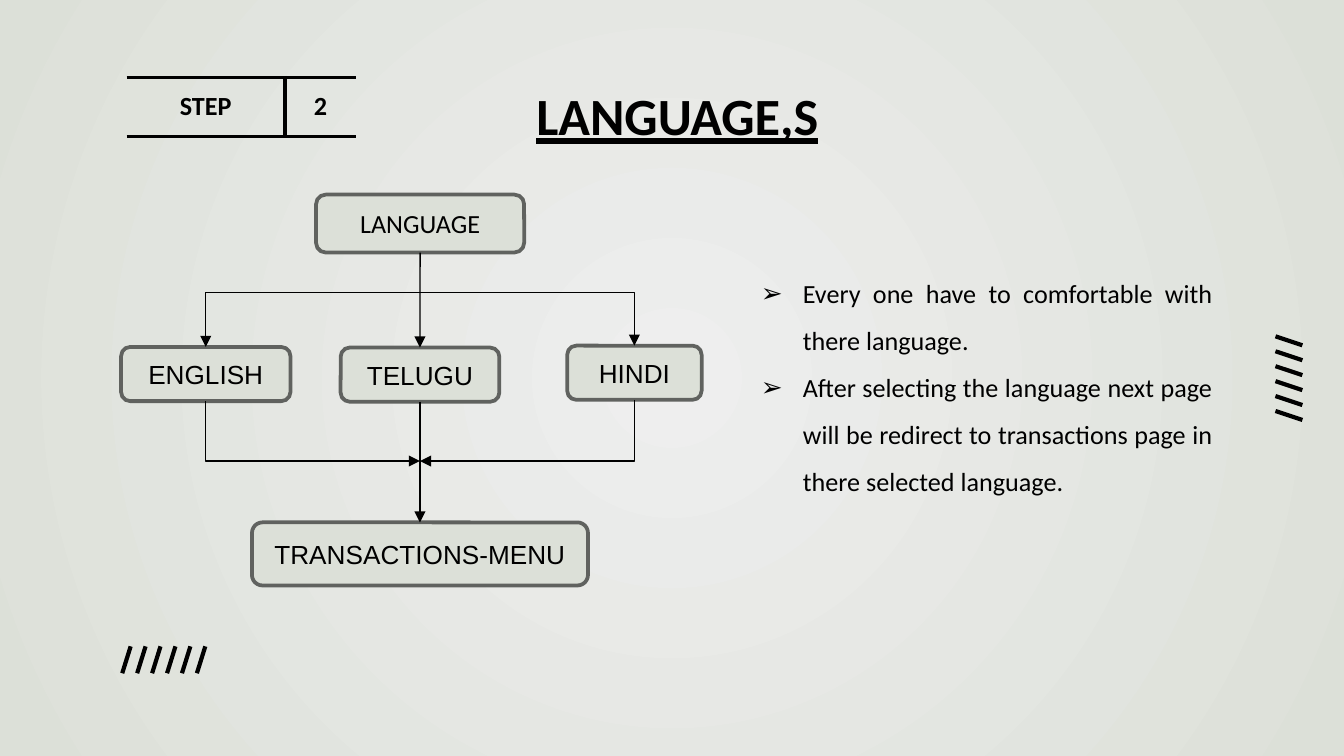
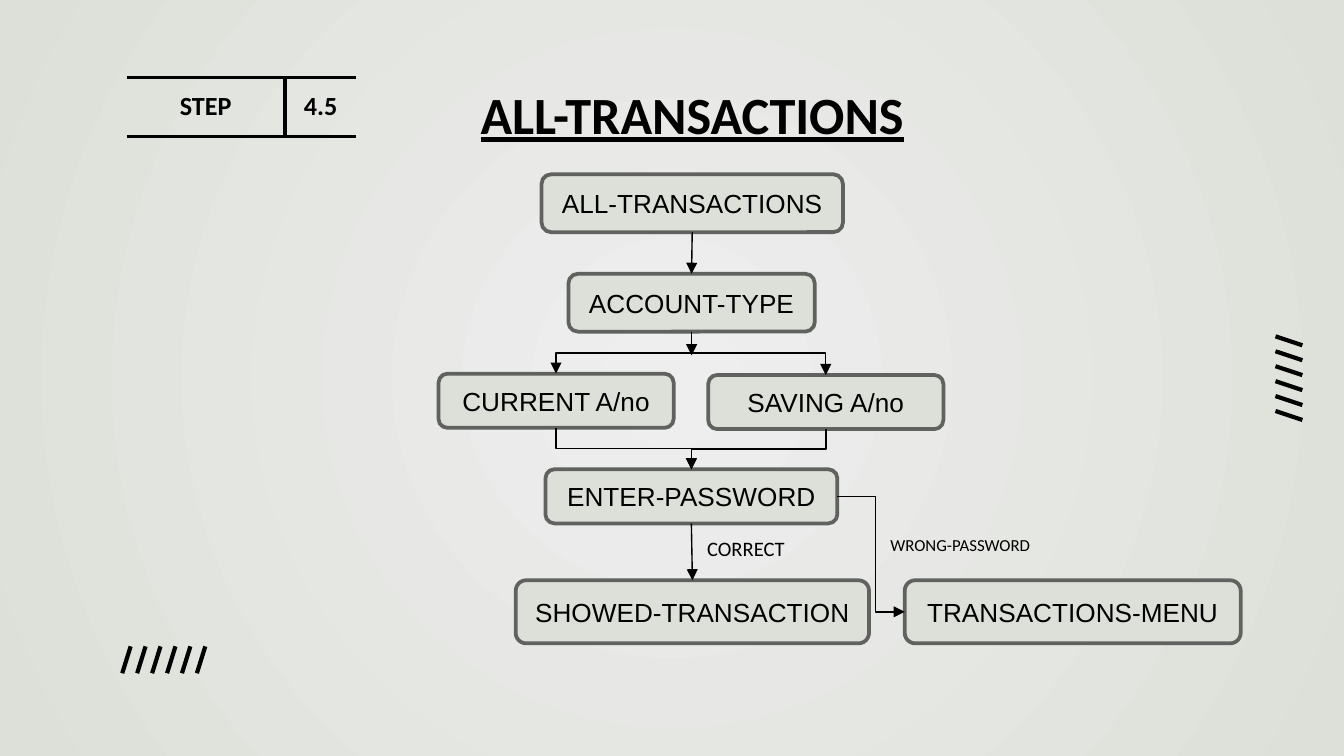
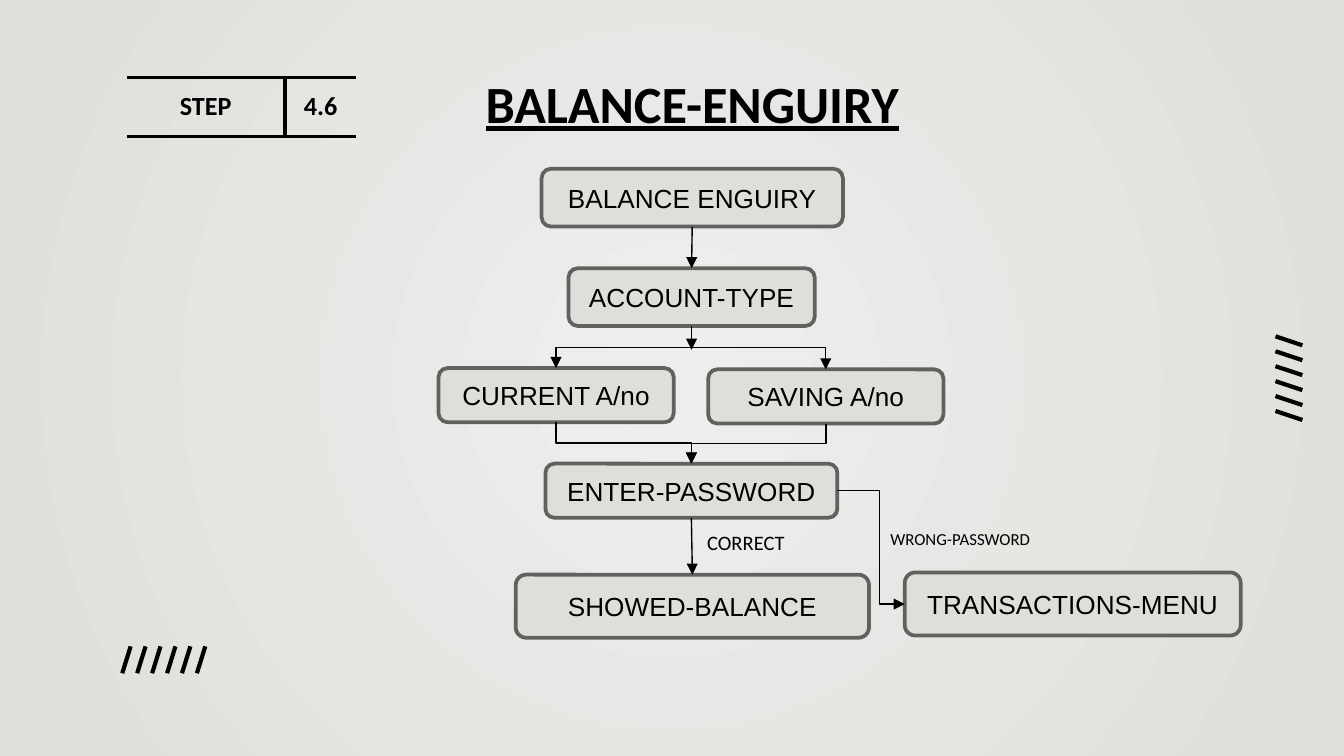
from dataclasses import dataclass
from typing import NamedTuple

from lxml import etree
from pptx import Presentation
from pptx import util as u
from pptx.dml.color import RGBColor
from pptx.enum import shapes, text
from pptx.oxml.ns import qn

BLACK = "000000"
GLOW = "EEEEEE"
SAGE = "DCE0D8"
OUTLINE = "60625F"
HEADING_FONT = "Calibri"
NODE_FONT = "Arial"
RULE = 2.25
TOP, LEFT, BOTTOM, RIGHT = range(4)  # connection sites of a rounded rectangle


class Point(NamedTuple):
    x: float
    y: float


class Box(NamedTuple):
    left: float
    top: float
    width: float
    height: float

    def site(self, index: int) -> Point:
        centre_x, centre_y = self.left + self.width / 2, self.top + self.height / 2
        return (
            Point(centre_x, self.top),
            Point(self.left, centre_y),
            Point(centre_x, self.top + self.height),
            Point(self.left + self.width, centre_y),
        )[index]


class Site(NamedTuple):
    node: str
    index: int


class Label(NamedTuple):
    words: str
    box: Box
    size: float


@dataclass(frozen=True)
class Node:
    words: str
    box: Box
    font: str = NODE_FONT


@dataclass(frozen=True)
class Link:
    """An arrow; bend is the signed distance from its start to its first corner."""

    start: Site
    end: Site | Point
    kind: str = "straight"
    bend: float | None = None
    both_ends: bool = False


@dataclass(frozen=True)
class Flow:
    step: str
    title: str
    title_at: Point
    nodes: list[Node]
    links: list[Link]
    labels: list[Label]


class Hatch(NamedTuple):
    start: Point
    end: Point
    step_x: float
    step_y: float


HATCHES = [
    Hatch(Point(697.7, 185), Point(683.3, 180.2), 0, 8),
    Hatch(Point(70, 346.3), Point(65.5, 360.7), 8, 0),
]
HATCH_STROKES = 6


def color(value: str) -> RGBColor:
    return RGBColor.from_string(value)


def points(*values: float) -> list[u.Length]:
    return [u.Pt(value) for value in values]


def add_element(parent, tag: str, **attributes: str):
    element = etree.SubElement(parent, qn(tag))
    for name, value in attributes.items():
        element.set(name, value)
    return element


def write(frame, words: str, *, size: float = 14, font: str = HEADING_FONT, bold: bool = False,
          underline: bool = False, align=text.PP_ALIGN.CENTER, new: bool = False):
    """Fill the first paragraph of the frame, or add one if new."""
    paragraph = frame.add_paragraph() if new else frame.paragraphs[0]
    paragraph.alignment = align
    run = paragraph.add_run()
    run.text = words
    run.font.size = u.Pt(size)
    run.font.name = font
    run.font.bold = bold
    run.font.underline = underline
    run.font.color.rgb = color(BLACK)
    return paragraph


def add_text_frame(slide, box: Box):
    frame = slide.shapes.add_textbox(*points(*box)).text_frame
    frame.word_wrap = True
    frame.auto_size = text.MSO_AUTO_SIZE.SHAPE_TO_FIT_TEXT
    return frame


def add_bullets(slide, box: Box, items: list[str]) -> None:
    frame = add_text_frame(slide, box)
    for index, item in enumerate(items):
        paragraph = write(frame, item, align=text.PP_ALIGN.JUSTIFY, new=index > 0)
        paragraph.line_spacing = 1.5
        indent = u.Pt(22.5)
        properties = paragraph._p.get_or_add_pPr()
        properties.set("marL", str(indent))
        properties.set("indent", str(-indent))
        add_element(add_element(properties, "a:buClr"), "a:srgbClr", val=BLACK)
        add_element(properties, "a:buFont", typeface=NODE_FONT)
        add_element(properties, "a:buChar", char="➢")


def add_node(slide, node: Node):
    shape = slide.shapes.add_shape(shapes.MSO_SHAPE.ROUNDED_RECTANGLE, *points(*node.box))
    shape.shadow.inherit = False
    shape.fill.solid()
    shape.fill.fore_color.rgb = color(SAGE)
    shape.line.color.rgb = color(OUTLINE)
    shape.line.width = u.Pt(2)
    shape.text_frame.word_wrap = True
    shape.text_frame.vertical_anchor = text.MSO_ANCHOR.MIDDLE
    write(shape.text_frame, node.words, font=node.font)
    return shape


def style_line(connector, width: float) -> None:
    connector.line.color.rgb = color(BLACK)
    connector.line.width = u.Pt(width)
    add_element(connector.element.spPr, "a:effectLst")


def place_elbow(connector, start: Point, end: Point, link: Link) -> None:
    """Turn the frame so that the line leaves its start along the right axis."""
    dx, dy = end.x - start.x, end.y - start.y
    vertical = link.start.index in (TOP, BOTTOM)
    along, across = (dy, dx) if vertical else (dx, dy)
    width, height = abs(along), abs(across)
    connector.left, connector.top = points(
        (start.x + end.x - width) / 2, (start.y + end.y - height) / 2)
    connector.width, connector.height = points(width, height)

    frame = connector.element.spPr.find(qn("a:xfrm"))
    flip_h = dx > 0 if vertical else dx < 0
    frame.set("flipH", str(int(flip_h)))
    frame.set("flipV", str(int(dy < 0)))
    if vertical:
        frame.set("rot", str((270 if dx > 0 and dy > 0 else 90) * 60000))

    geometry = connector.element.spPr.find(qn("a:prstGeom"))
    geometry.set("prst", "bentConnector2" if link.kind == "corner" else "bentConnector3")
    if link.bend is not None:
        for old in list(geometry):
            geometry.remove(old)
        guides = add_element(geometry, "a:avLst")
        add_element(guides, "a:gd", name="adj1", fmla=f"val {round(link.bend / along * 100000)}")


def add_link(slide, link: Link, nodes: dict, node_shapes: dict) -> None:
    start = nodes[link.start.node].box.site(link.start.index)
    attached = isinstance(link.end, Site)
    end = nodes[link.end.node].box.site(link.end.index) if attached else link.end
    straight = link.kind == "straight"
    kind = shapes.MSO_CONNECTOR.STRAIGHT if straight else shapes.MSO_CONNECTOR.ELBOW
    connector = slide.shapes.add_connector(kind, *points(*start, *end))
    connector.begin_connect(node_shapes[link.start.node], link.start.index)
    if attached:
        connector.end_connect(node_shapes[link.end.node], link.end.index)
    if not straight:
        place_elbow(connector, start, end, link)
    style_line(connector, 0.75)
    line = connector.element.spPr.find(qn("a:ln"))
    if link.both_ends:
        add_element(line, "a:headEnd", type="triangle")
    add_element(line, "a:tailEnd", type="triangle")


def add_hatch(slide, hatch: Hatch) -> None:
    group = slide.shapes.add_group_shape()
    for index in range(HATCH_STROKES):
        x, y = index * hatch.step_x, index * hatch.step_y
        stroke = group.shapes.add_connector(
            shapes.MSO_CONNECTOR.STRAIGHT,
            *points(hatch.start.x + x, hatch.start.y + y, hatch.end.x + x, hatch.end.y + y))
        style_line(stroke, RULE)


def set_borders(cell, ruled: str) -> None:
    """Rule the sides named by the letters L, R, T and B; clear the others."""
    properties = cell._tc.get_or_add_tcPr()
    for side in "LRTB":
        border = add_element(properties, f"a:ln{side}", w=str(u.Pt(RULE)))
        if side in ruled:
            add_element(add_element(border, "a:solidFill"), "a:srgbClr", val=BLACK)
        else:
            add_element(border, "a:noFill")


def add_step(slide, number: str) -> None:
    table = slide.shapes.add_table(1, 2, *points(67.9, 41.6, 123, 31)).table
    table.first_row = table.horz_banding = False
    columns = [("STEP", 84.7, "RTB"), (number, 38.3, "LTB")]
    for index, (words, width, ruled) in enumerate(columns):
        table.columns[index].width = u.Pt(width)
        cell = table.cell(0, index)
        cell.margin_left = cell.margin_right = cell.margin_top = cell.margin_bottom = u.Pt(7.2)
        set_borders(cell, ruled)
        cell.fill.background()
        write(cell.text_frame, words, bold=True)


def add_flow(presentation, flow: Flow):
    slide = presentation.slides.add_slide(presentation.slide_layouts[6])
    for hatch in HATCHES:
        add_hatch(slide, hatch)
    add_step(slide, flow.step)
    nodes = {node.words: node for node in flow.nodes}
    node_shapes = {node.words: add_node(slide, node) for node in flow.nodes}
    for link in flow.links:
        add_link(slide, link, nodes, node_shapes)
    for label in flow.labels:
        write(add_text_frame(slide, label.box), label.words, size=label.size)
    title = add_text_frame(slide, Box(*flow.title_at, 360, 41.2))
    write(title, flow.title, size=28, bold=True, underline=True)
    return slide


def language_flow() -> Flow:
    merge = Point(225, 247)
    return Flow(
        "2", "LANGUAGE,S", Point(182.9, 41.2),
        nodes=[
            Node("LANGUAGE", Box(169.3, 104.3, 111.5, 31), HEADING_FONT),
            Node("ENGLISH", Box(64.9, 185.9, 90.7, 29)),
            Node("TELUGU", Box(182.5, 186.2, 85, 29)),
            Node("HINDI", Box(303.9, 185.2, 72, 29)),
            Node("TRANSACTIONS-MENU", Box(135, 279.9, 180, 33.8)),
        ],
        links=[
            Link(Site("ENGLISH", TOP), Site("HINDI", TOP), "elbow", -28.7, True),
            Link(Site("LANGUAGE", BOTTOM), Site("TELUGU", TOP)),
            Link(Site("TELUGU", BOTTOM), Site("TRANSACTIONS-MENU", TOP)),
            Link(Site("ENGLISH", BOTTOM), merge, "corner"),
            Link(Site("HINDI", BOTTOM), merge, "corner"),
        ],
        labels=[],
    )


def account_flow(step: str, title: str, title_top: float, first: str, result: str,
                 top: float, menu_top: float, menu_bend: float) -> Flow:
    """The password check shared by the account steps, hung from the given top."""
    account, current, saving = "ACCOUNT-TYPE", "CURRENT A/no", "SAVING A/no"
    password, menu = "ENTER-PASSWORD", "TRANSACTIONS-MENU"
    return Flow(
        step, title, Point(190.8, title_top),
        nodes=[
            Node(account, Box(304.5, top + 53.3, 132, 31)),
            Node(current, Box(234.9, top + 106.8, 126, 29)),
            Node(first, Box(290.1, top, 161.5, 31)),
            Node(saving, Box(379.4, top + 107.5, 126, 29)),
            Node(password, Box(292.2, top + 158, 156.4, 29)),
            Node(result, Box(276.3, top + 217.5, 189.3, 33.8)),
            Node(menu, Box(484.7, menu_top, 180, 33.8)),
        ],
        links=[
            Link(Site(current, TOP), Site(saving, TOP), "elbow", -11, True),
            Link(Site(account, BOTTOM), Point(370.5, top + 97)),
            Link(Site(first, BOTTOM), Site(account, TOP)),
            Link(Site(current, BOTTOM), Site(password, TOP), "elbow"),
            Link(Site(saving, BOTTOM), Site(password, TOP), "elbow"),
            Link(Site(password, BOTTOM), Site(result, TOP)),
            Link(Site(password, RIGHT), Site(menu, LEFT), "elbow", menu_bend),
        ],
        labels=[
            Label("WRONG-PASSWORD", Box(465.8, top + 189.5, 97.2, 18), 9),
            Label("CORRECT", Box(368.6, top + 190.2, 62, 20.9), 11),
        ],
    )


def set_background(presentation) -> None:
    master = presentation.slide_master
    fill = master.background.fill
    fill.gradient()
    for stop, value in zip(fill.gradient_stops, (GLOW, SAGE)):
        stop.color.rgb = color(value)
    gradient = master.element.find(".//" + qn("a:gradFill"))
    gradient.remove(gradient.find(qn("a:lin")))
    circle = add_element(gradient, "a:path", path="circle")
    add_element(circle, "a:fillToRect", l="50000", t="50000", r="50000", b="50000")


def main() -> None:
    presentation = Presentation()
    presentation.slide_width, presentation.slide_height = points(720, 405)
    set_background(presentation)
    language_slide = add_flow(presentation, language_flow())
    add_bullets(language_slide, Box(400.5, 136.8, 256.3, 131.8), [
        "Every one have to comfortable with there language.",
        "After selecting the language next page will be redirect to transactions page in "
        "there selected language.",
    ])
    add_flow(presentation, account_flow(
        "4.5", "ALL-TRANSACTIONS", 40.3, "ALL-TRANSACTIONS", "SHOWED-TRANSACTION",
        top=93.4, menu_top=310.9, menu_bend=20.4))
    add_flow(presentation, account_flow(
        "4.6", "BALANCE-ENGUIRY", 34.6, "BALANCE ENGUIRY", "SHOWED-BALANCE",
        top=90.4, menu_top=306.7, menu_bend=22.7))
    presentation.save("out.pptx")


if __name__ == "__main__":
    main()
